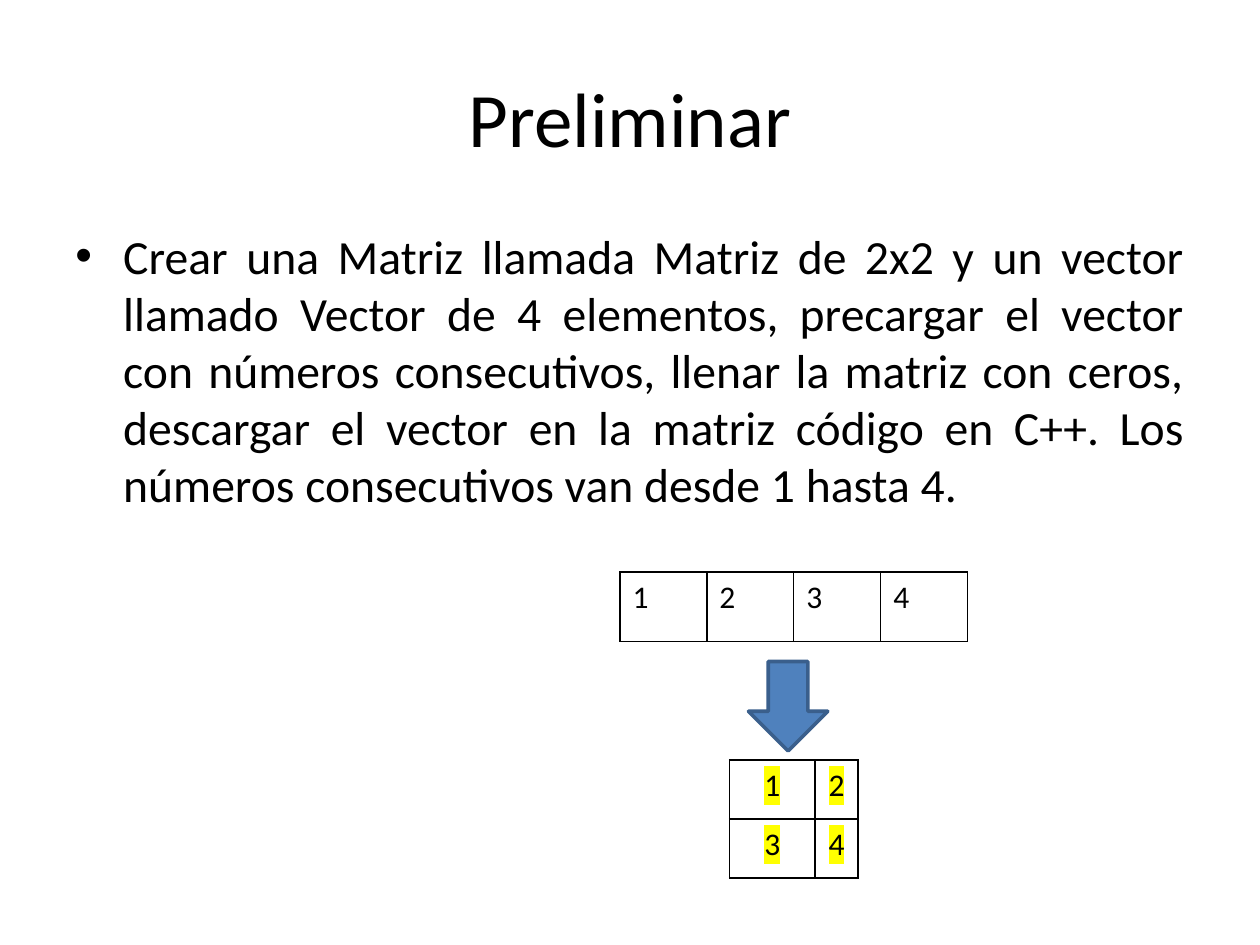
import pptx
import pptx.util
import pptx.dml.color
import pptx.enum.shapes
import pptx.enum.text
import pptx.oxml
import pptx.oxml.ns
from lxml import etree

Inches = pptx.util.Inches
Pt = pptx.util.Pt
RGBColor = pptx.dml.color.RGBColor
ALIGN = pptx.enum.text.PP_ALIGN
ANCHOR = pptx.enum.text.MSO_ANCHOR
qn = pptx.oxml.ns.qn

BLACK = RGBColor(0x00, 0x00, 0x00)
BLUE = RGBColor(0x4F, 0x81, 0xBD)
DARK_BLUE = RGBColor(0x3A, 0x5F, 0x8C)
YELLOW = RGBColor(0xFF, 0xFF, 0x00)
FONT = "Calibri"

TITLE = "Preliminar"
BODY = (
    "Crear una Matriz llamada Matriz de 2x2 y un vector llamado Vector de 4 elementos, "
    "precargar el vector con números consecutivos, llenar la matriz con ceros, "
    "descargar el vector en la matriz código en C++. "
    "Los números consecutivos van desde 1 hasta 4."
)
VECTOR = dict(rows=[["1", "2", "3", "4"]], left=4.92, top=4.54,
              widths=[0.69] * 4, height=0.55)
MATRIX = dict(rows=[["1", "2"], ["3", "4"]], left=5.79, top=6.03,
              widths=[0.68, 0.34], height=0.47,
              align=ALIGN.CENTER, highlight=YELLOW)


def box(left, top, width, height):
    return [Inches(v) for v in (left, top, width, height)]


def add_xml(parent, tag, **attrs):
    return etree.SubElement(parent, qn(tag), attrs)


def write(tf, text, size=18, align=ALIGN.LEFT, highlight=None):
    p = tf.paragraphs[0]
    p.alignment = align
    r = p.add_run()
    r.text = text
    r.font.size = Pt(size)
    r.font.color.rgb = BLACK
    if highlight is not None:
        mark = add_xml(r.font._element, "a:highlight")
        add_xml(mark, "a:srgbClr", val=str(highlight))
    r.font.name = FONT
    return p


def add_bullet(p, indent):
    pPr = p._p.get_or_add_pPr()
    pPr.set("marL", str(Inches(indent)))
    pPr.set("indent", str(-Inches(indent)))
    add_xml(add_xml(pPr, "a:spcBef"), "a:spcPct", val="20000")
    add_xml(pPr, "a:buFont", typeface="Arial")
    add_xml(pPr, "a:buChar", char="•")


def add_borders(cell):
    tcPr = cell._tc.get_or_add_tcPr()
    for i, side in enumerate(("a:lnL", "a:lnR", "a:lnT", "a:lnB")):
        ln = etree.Element(qn(side), w=str(Pt(1)))
        add_xml(add_xml(ln, "a:solidFill"), "a:srgbClr", val=str(BLACK))
        tcPr.insert(i, ln)


def add_grid(slide, rows, left, top, widths, height, **style):
    frame = slide.shapes.add_table(
        len(rows), len(widths), *box(left, top, sum(widths), height * len(rows)))
    table = frame.table
    table.first_row = False
    table.horz_banding = False
    for column, width in zip(table.columns, widths):
        column.width = Inches(width)
    for i, row in enumerate(rows):
        table.rows[i].height = Inches(height)
        for j, text in enumerate(row):
            cell = table.cell(i, j)
            cell.fill.background()
            add_borders(cell)
            write(cell.text_frame, text, **style)


def main():
    prs = pptx.Presentation()
    prs.slide_width, prs.slide_height = Inches(10), Inches(7.5)
    s = prs.slides.add_slide(prs.slide_layouts[5])

    title = s.shapes.title
    title.left, title.top, title.width, title.height = box(0.5, 0.3, 9, 1.25)
    title.text_frame.vertical_anchor = ANCHOR.MIDDLE
    write(title.text_frame, TITLE, size=44, align=ALIGN.CENTER)

    tf = s.shapes.add_textbox(*box(0.5, 1.75, 9, 2.39)).text_frame
    tf.word_wrap = True
    add_bullet(write(tf, BODY, size=27.2, align=ALIGN.JUSTIFY), 0.38)

    add_grid(s, **VECTOR)
    add_grid(s, **MATRIX)

    arrow = s.shapes.add_shape(
        pptx.enum.shapes.MSO_SHAPE.DOWN_ARROW, *box(5.94, 5.25, 0.63, 0.71))
    arrow.shadow.inherit = False
    arrow.fill.solid()
    arrow.fill.fore_color.rgb = BLUE
    arrow.line.color.rgb = DARK_BLUE
    arrow.line.width = Pt(2)

    prs.save("out.pptx")


if __name__ == "__main__":
    main()
